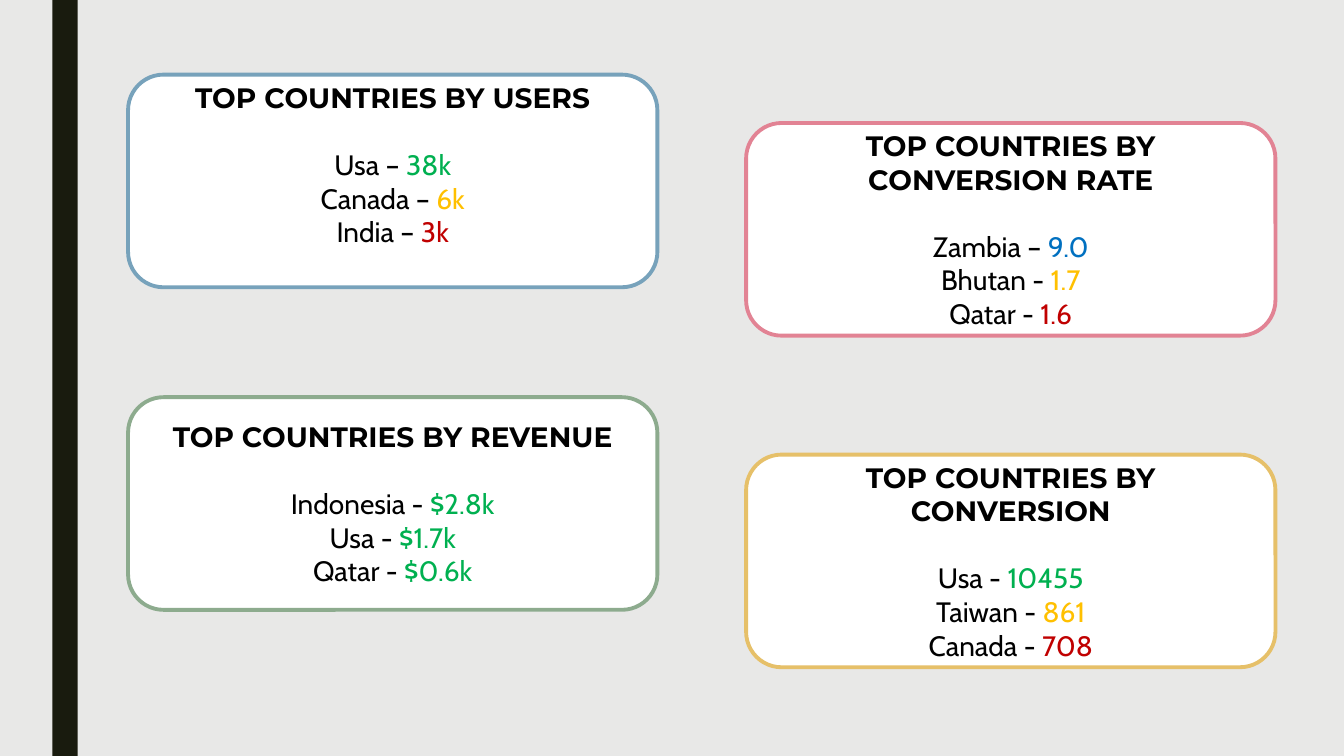
from pptx import Presentation
from pptx.dml.color import RGBColor
from pptx.enum.shapes import MSO_SHAPE
from pptx.enum.text import MSO_ANCHOR, PP_ALIGN
from pptx.util import Inches, Pt

RECT = MSO_SHAPE.RECTANGLE
ROUNDED = MSO_SHAPE.ROUNDED_RECTANGLE
MIDDLE = MSO_ANCHOR.MIDDLE
CENTER = PP_ALIGN.CENTER

COLORS = {
    "background": "E8E8E7", "bar": "191B0E", "card": "FFFFFF", "text": "000000",
    "blue_line": "77A2BB", "green_line": "8DAB8E",
    "yellow_line": "E6C069", "pink_line": "E28394",
    "green": "00B050", "amber": "FFC000", "red": "C00000", "blue": "0070C0",
}
HEADING = {"name": "Montserrat", "size": Pt(20), "bold": True}
BODY = {"name": "Cabin", "size": Pt(20), "bold": False}

CARD_W, CARD_H = 5.25, 2.11
LEFT_X, RIGHT_X = 1.27, 7.4
LINE_GAP = Pt(24)  # height of one text line

# left, top, outline, heading, rows of (label, value, value colour), bottom inset
CARDS = [
    (LEFT_X, 0.74, "blue_line", "TOP COUNTRIES BY USERS",
     [("Usa – ", "38k", "green"), ("Canada – ", "6k", "amber"),
      ("India – ", "3k", "red")], 0.38),
    (LEFT_X, 3.94, "green_line", "TOP COUNTRIES BY REVENUE",
     [("Indonesia - ", "$2.8k", "green"), ("Usa - ", "$1.7k", "green"),
      ("Qatar - ", "$0.6k", "green")], 0.05),
    (RIGHT_X, 4.51, "yellow_line", "TOP COUNTRIES BY CONVERSION",
     [("Usa - ", "10455", "green"), ("Taiwan - ", "861", "amber"),
      ("Canada - ", "708", "red")], 0.05),
    (RIGHT_X, 1.22, "pink_line", "TOP COUNTRIES BY CONVERSION RATE",
     [("Zambia – ", "9.0", "blue"), ("Bhutan - ", "1.7", "amber"),
      ("Qatar - ", "1.6", "red")], 0.05),
]


def rgb(name):
    return RGBColor.from_string(COLORS[name])


def add_box(slide, kind, left, top, width, height, fill, line=None):
    sp = slide.shapes.add_shape(kind, Inches(left), Inches(top),
                                Inches(width), Inches(height))
    sp.shadow.inherit = False
    sp.fill.solid()
    sp.fill.fore_color.rgb = rgb(fill)
    if line:
        sp.line.color.rgb = rgb(line)
        sp.line.width = Pt(2.75)
    else:
        sp.line.fill.background()
    return sp


def add_run(p, text, style, color="text"):
    r = p.add_run()
    r.text = text
    for name, value in style.items():
        setattr(r.font, name, value)
    r.font.color.rgb = rgb(color)


def add_card(slide, left, top, line, heading, rows, bottom_inset):
    sp = add_box(slide, ROUNDED, left, top, CARD_W, CARD_H, "card", line)
    tf = sp.text_frame
    tf.word_wrap = True
    tf.vertical_anchor = MIDDLE
    tf.margin_bottom = Inches(bottom_inset)
    p = tf.paragraphs[0]
    p.alignment = CENTER
    p.space_after = LINE_GAP
    add_run(p, heading, HEADING)
    for label, value, color in rows:
        p = tf.add_paragraph()
        p.alignment = CENTER
        add_run(p, label, BODY)
        add_run(p, value, BODY, color)


def main():
    prs = Presentation()
    prs.slide_width, prs.slide_height = Inches(13.33), Inches(7.5)
    slide = prs.slides.add_slide(prs.slide_layouts[6])
    slide.background.fill.solid()
    slide.background.fill.fore_color.rgb = rgb("background")
    add_box(slide, RECT, 0.52, 0, 0.25, 7.5, "bar")
    for card in CARDS:
        add_card(slide, *card)
    prs.save("out.pptx")


if __name__ == "__main__":
    main()
